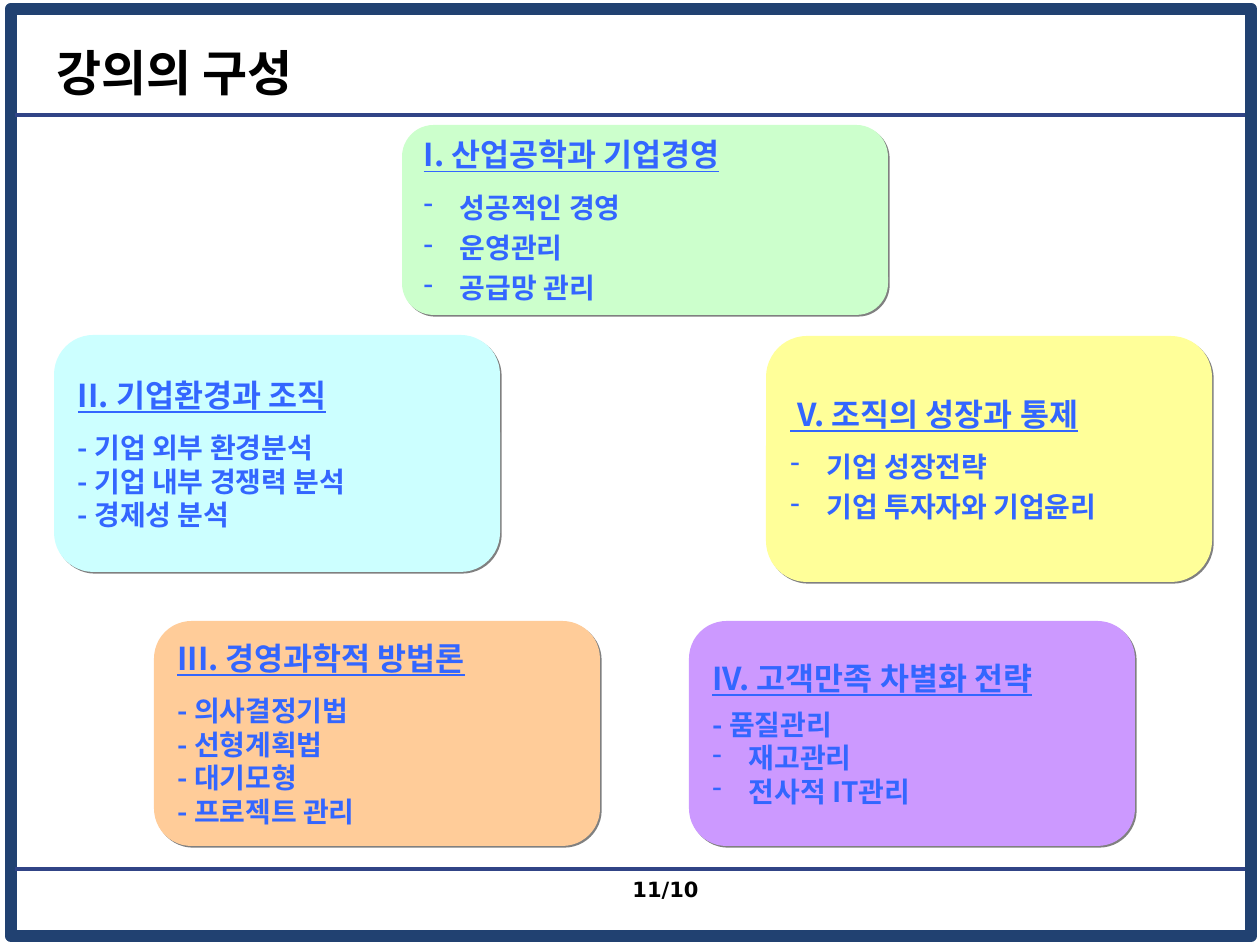
from lxml.etree import SubElement
from pptx import Presentation
from pptx.dml.color import RGBColor
from pptx.enum.shapes import MSO_CONNECTOR, MSO_SHAPE
from pptx.enum.text import MSO_ANCHOR, PP_ALIGN
from pptx.oxml import parse_xml
from pptx.oxml.ns import nsdecls, qn
from pptx.util import Emu, Pt

PX_PER_INCH = 126
FONT = "Noto Sans CJK KR"
BLUE = "3366FF"
FRAME = "214171"
RULE = "314486"

SECTIONS = [
    ((402, 125, 486, 190), "CCFFCC", "I. 산업공학과 기업경영", 3,
     [" 성공적인 경영", " 운영관리", " 공급망 관리"]),
    ((54, 335, 446, 237), "CCFFFF", "II. 기업환경과 조직", 1,
     ["- 기업 외부 환경분석", "- 기업 내부 경쟁력 분석", "- 경제성 분석"]),
    ((766, 336, 446, 246), "FFFF99", " V. 조직의 성장과 통제", 2,
     [" 기업 성장전략", " 기업 투자자와 기업윤리"]),
    ((154, 621, 446, 225), "FFCC99", "III. 경영과학적 방법론", 1,
     ["- 의사결정기법", "- 선형계획법", "- 대기모형", "- 프로젝트 관리"]),
    ((689, 621, 446, 225), "CC99FF", "IV. 고객만족 차별화 전략", 0,
     ["- 품질관리", " 재고관리", " 전사적 IT관리"]),
]


def px(n):
    return Emu(round(n * 914400 / PX_PER_INCH))


def rgb(value):
    return RGBColor.from_string(value)


class Deck:
    def __init__(self, width, height):
        self.prs = Presentation()
        self.prs.slide_width, self.prs.slide_height = px(width), px(height)
        self.s = self.prs.slides.add_slide(self.prs.slide_layouts[6])

    def frame(self, box, color, width):
        sp = self.s.shapes.add_shape(MSO_SHAPE.RECTANGLE, *map(px, box))
        sp.shadow.inherit = False
        sp.fill.background()
        sp.line.color.rgb = rgb(color)
        sp.line.width = Pt(width)

    def rule(self, x1, x2, y, color, width):
        ln = self.s.shapes.add_connector(
            MSO_CONNECTOR.STRAIGHT, px(x1), px(y), px(x2), px(y))
        ln.line.color.rgb = rgb(color)
        ln.line.width = Pt(width)
        SubElement(ln._element.spPr, qn("a:effectLst"))

    def style(self, p, text, size, color, font=FONT, align=PP_ALIGN.LEFT):
        p.text = text
        p.alignment = align
        p.font.size, p.font.bold, p.font.name = Pt(size), True, font
        p.font.color.rgb = rgb(color)
        defaults = p._p.pPr.find(qn("a:defRPr"))
        SubElement(defaults, qn("a:ea"), typeface=font)

    def bullet(self, p, color, indent):
        pPr = p._p.pPr
        pPr.set("marL", str(px(indent)))
        pPr.set("indent", str(-px(indent)))
        defaults = pPr.find(qn("a:defRPr"))
        for xml in (f'<a:buClr {nsdecls("a")}><a:srgbClr val="{color}"/></a:buClr>',
                    f'<a:buChar {nsdecls("a")} char="-"/>'):
            defaults.addprevious(parse_xml(xml))

    def label(self, box, text, size, **style):
        tf = self.s.shapes.add_textbox(*map(px, box)).text_frame
        tf.word_wrap = True
        tf.vertical_anchor = MSO_ANCHOR.MIDDLE
        self.style(tf.paragraphs[0], text, size, "000000", **style)

    def card(self, box, fill, heading, loose, items):
        sp = self.s.shapes.add_shape(MSO_SHAPE.ROUNDED_RECTANGLE, *map(px, box))
        sp.fill.solid()
        sp.fill.fore_color.rgb = rgb(fill)
        sp.line.fill.background()
        self.drop_shadow(sp, "808080")
        tf = sp.text_frame
        tf.word_wrap = True
        tf.vertical_anchor = MSO_ANCHOR.MIDDLE
        p = tf.paragraphs[0]
        self.style(p, heading, 18, BLUE)
        p.font.underline = True
        p.space_after = Pt(6)
        for i, item in enumerate(items):
            p = tf.add_paragraph()
            self.style(p, item, 16, BLUE)
            if i < loose:
                p.line_spacing = 1.2
            if item.startswith(" "):
                self.bullet(p, BLUE, 30)

    def drop_shadow(self, sp, color):
        sp.shadow.inherit = False
        effects = sp._element.spPr.find(qn("a:effectLst"))
        shadow = SubElement(effects, qn("a:outerShdw"), dist=str(Pt(1.4)),
                            dir="2700000", algn="ctr", rotWithShape="0")
        SubElement(shadow, qn("a:srgbClr"), val=color)


def main():
    deck = Deck(1260, 945)
    deck.frame((11, 9, 1240, 927), FRAME, 7)
    for y in (115, 869):
        deck.rule(15, 1245, y, RULE, 2)
    deck.label((546, 869, 165, 41), "11/10", 12, font="DejaVu Sans",
               align=PP_ALIGN.RIGHT)
    for section in SECTIONS:
        deck.card(*section)
    deck.label((44, 38, 983, 68), "강의의 구성", 28)
    deck.prs.save("out.pptx")


if __name__ == "__main__":
    main()
